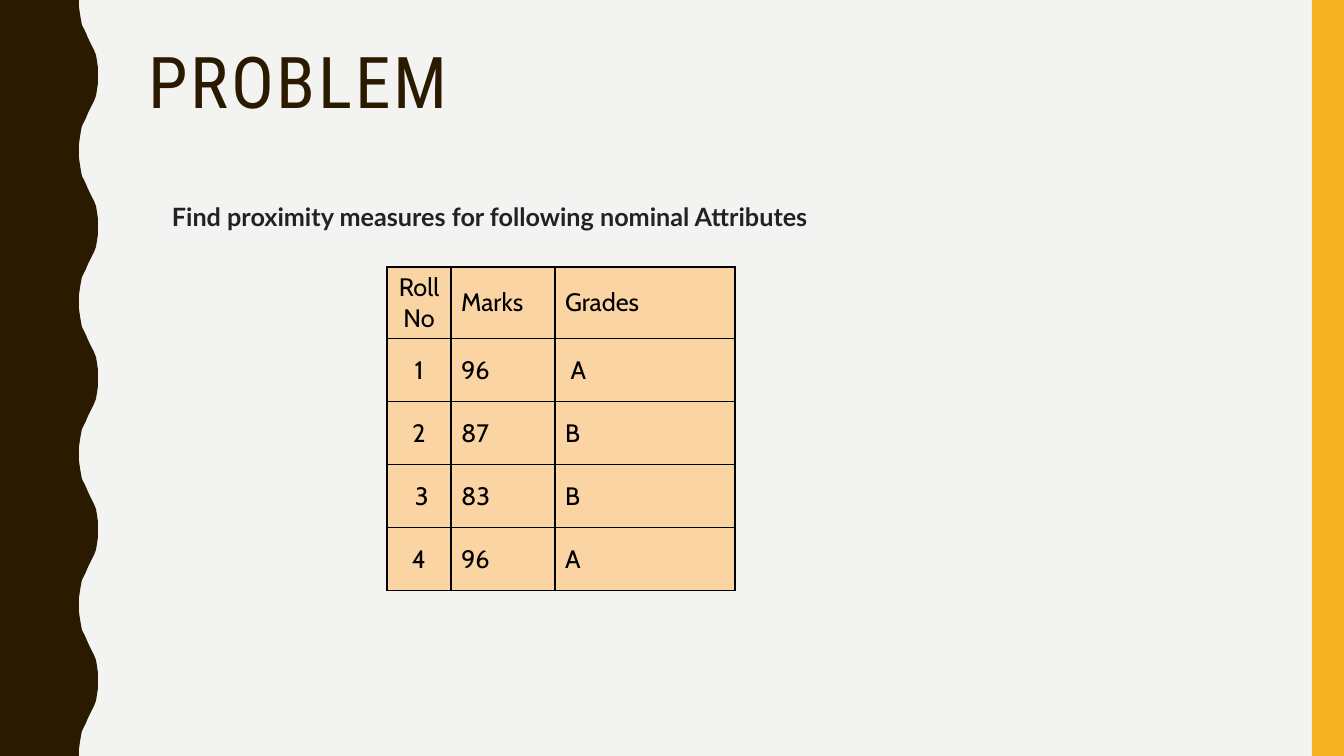
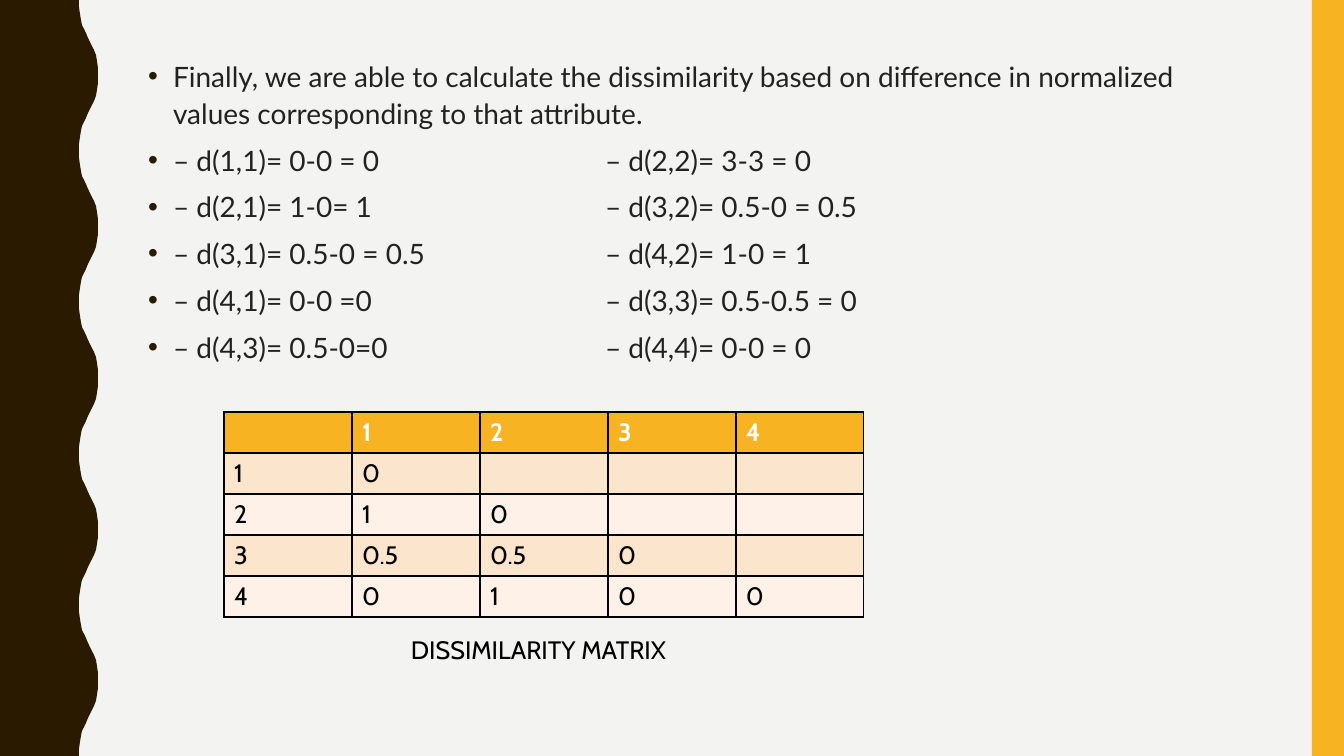
from lxml.etree import SubElement as Sub
from pptx import Presentation
from pptx.dml.color import RGBColor as Rgb
from pptx.enum.shapes import MSO_SHAPE as Kind
from pptx.enum.text import MSO_ANCHOR as Anchor, MSO_AUTO_SIZE as Auto, PP_ALIGN as Align
from pptx.oxml.ns import qn
from pptx.util import Pt

PX = 914400 / 100.8
WIDE, HIGH = 1344, 756
DARK, GOLD, PAPER = "2A1A00", "F8B323", "F3F3F2"
INK, BLACK, WHITE = "222222", "000000", "FFFFFF"
PEACH, BANDS = "FBD4A3", ("FCE5CD", "FEF2E8")
HEAD, BODY, CELL = "Roboto Condensed", "Lato", "Cabin"

WAVES = 5
CURVE = [(79, 0), (79, 7), (80, 14), (81, 20), (82, 25), (84, 29), (86, 33), (88, 38),
         (90, 42), (92, 46), (94, 50), (96, 55), (97, 61), (98, 68), (98, 75)]

TITLE = "PROBLEM"
TASK = "Find proximity measures for following nominal Attributes"
MARKS = [("Roll No", "Marks", "Grades"),
         ("1", "96", "\u00a0A".replace("\u00a0", " ")),
         ("2", "87", "B"),
         (" 3", "83", "B"),
         ("4", "96", "A")]
STEPS = ["Finally, we are able to calculate the dissimilarity based on difference in "
         "normalized values corresponding to that attribute.",
         "– d(1,1)= 0-0 = 0\t– d(2,2)= 3-3 = 0",
         "– d(2,1)= 1-0= 1\t– d(3,2)= 0.5-0 = 0.5",
         "– d(3,1)= 0.5-0 = 0.5\t– d(4,2)= 1-0 = 1",
         "– d(4,1)= 0-0 =0\t– d(3,3)= 0.5-0.5 = 0",
         "– d(4,3)= 0.5-0=0\t– d(4,4)= 0-0 = 0"]
MATRIX = [("", "1", "2", "3", "4"),
          ("1", "0", "", "", ""),
          ("2", "1", "0", "", ""),
          ("3", "0.5", "0.5", "0", ""),
          ("4", "0", "1", "0", "0")]
NOTE = "DISSIMILARITY MATRIX"


def px(n):
    return round(n * PX)


def paint(fill, hue):
    fill.solid()
    fill.fore_color.rgb = Rgb.from_string(hue)


def style(para, face, size, hue, bold=False):
    font = para.font
    font.name, font.size, font.bold = face, Pt(size), bold
    font.color.rgb = Rgb.from_string(hue)
    return font


def place(shape, *box):
    shape.left, shape.top, shape.width, shape.height = map(px, box)
    frame = shape.text_frame
    frame.word_wrap, frame.auto_size = True, Auto.NONE
    frame.vertical_anchor = Anchor.TOP
    return frame


def label(slide, text, box, face, hue, bold=False):
    frame = slide.shapes.add_textbox(*map(px, box)).text_frame
    frame.word_wrap = True
    para = frame.paragraphs[0]
    para.text = text
    style(para, face, 18, hue, bold)


def edge(cell):
    props = cell._tc.get_or_add_tcPr()
    for i, side in enumerate(("lnL", "lnR", "lnT", "lnB")):
        line = props.makeelement(qn("a:" + side), {"w": str(Pt(1))})
        Sub(Sub(line, qn("a:solidFill")), qn("a:srgbClr"), val=BLACK)
        props.insert(i, line)


def grid(slide, data, left, top, cols, rows, look):
    box = map(px, (left, top, sum(cols), sum(rows)))
    table = slide.shapes.add_table(len(rows), len(cols), *box).table
    table.first_row = table.horz_banding = False
    for col, size in zip(table.columns, cols):
        col.width = px(size)
    for row, size in zip(table.rows, rows):
        row.height = px(size)
    for r, line in enumerate(data):
        for c, text in enumerate(line):
            cell = table.cell(r, c)
            fill, hue, bold, align, anchor = look(r, c)
            paint(cell.fill, fill)
            edge(cell)
            cell.vertical_anchor = anchor
            para = cell.text_frame.paragraphs[0]
            para.text, para.alignment = text, align
            style(para, CELL, 18, hue, bold)


def mark_look(r, c):
    return PEACH, BLACK, False, Align.LEFT if c else Align.CENTER, Anchor.MIDDLE


def matrix_look(r, c):
    fill = BANDS[(r - 1) % 2] if r else GOLD
    return fill, BLACK if r else WHITE, r == 0, Align.LEFT, Anchor.TOP


def bullet(para, indent, tab):
    props = para._p.get_or_add_pPr()
    props.set("marL", str(px(indent)))
    props.set("indent", str(px(-indent)))
    Sub(Sub(props, qn("a:buClr")), qn("a:srgbClr"), val=DARK)
    Sub(props, qn("a:buFont"), typeface="Arial")
    Sub(props, qn("a:buChar"), char="•")
    Sub(Sub(props, qn("a:tabLst")), qn("a:tab"), pos=str(px(tab)), algn="l")


def dress(master, slide):
    paint(master.background.fill, PAPER)
    span = HIGH / WAVES
    wave = CURVE + [(x, span - y) for x, y in reversed(CURVE)]
    edge_line = [(x, y + i * span) for i in range(WAVES) for x, y in wave]
    form = slide.shapes.build_freeform(0, 0, scale=PX)
    form.add_line_segments(edge_line + [(0, HIGH)], close=True)
    side = form.convert_to_shape()
    band = slide.shapes.add_shape(Kind.RECTANGLE, *map(px, (1312, 0, WIDE - 1312, HIGH)))
    for i, (shape, hue) in enumerate(((side, DARK), (band, GOLD))):
        paint(shape.fill, hue)
        shape.line.fill.background()
        shape.shadow.inherit = False
        master.shapes.element.insert(2 + i, shape.element)


def problem(slide):
    frame = place(slide.shapes.title, 138, 42, 1122, 164)
    frame.text = TITLE
    para = frame.paragraphs[0]
    para.alignment, para.line_spacing = Align.LEFT, 0.9
    style(para, HEAD, 51, DARK)._rPr.set("spc", "200")
    grid(slide, MARKS, 387, 267, (64, 104, 180), (71,) + (63,) * 4, mark_look)
    label(slide, TASK, (162, 196, 672, 40), BODY, INK, True)


def result(slide):
    title = slide.shapes.title.element
    title.getparent().remove(title)
    frame = place(slide.placeholders[1], 138, 51, 1122, 327)
    frame.text = "\n".join(STEPS)
    for para in frame.paragraphs:
        para.line_spacing, para.space_before = 1.1, Pt(7)
        bullet(para, 25, 457)
        style(para, BODY, 20, INK)
    grid(slide, MATRIX, 224, 412, (128,) * 5, (41,) * 5, matrix_look)
    label(slide, NOTE, (401, 629, 371, 40), CELL, BLACK)


def main():
    prs = Presentation()
    prs.slide_width, prs.slide_height = px(WIDE), px(HIGH)
    first = prs.slides.add_slide(prs.slide_layouts[5])
    dress(prs.slide_master, first)
    problem(first)
    result(prs.slides.add_slide(prs.slide_layouts[1]))
    prs.save("out.pptx")


if __name__ == "__main__":
    main()
